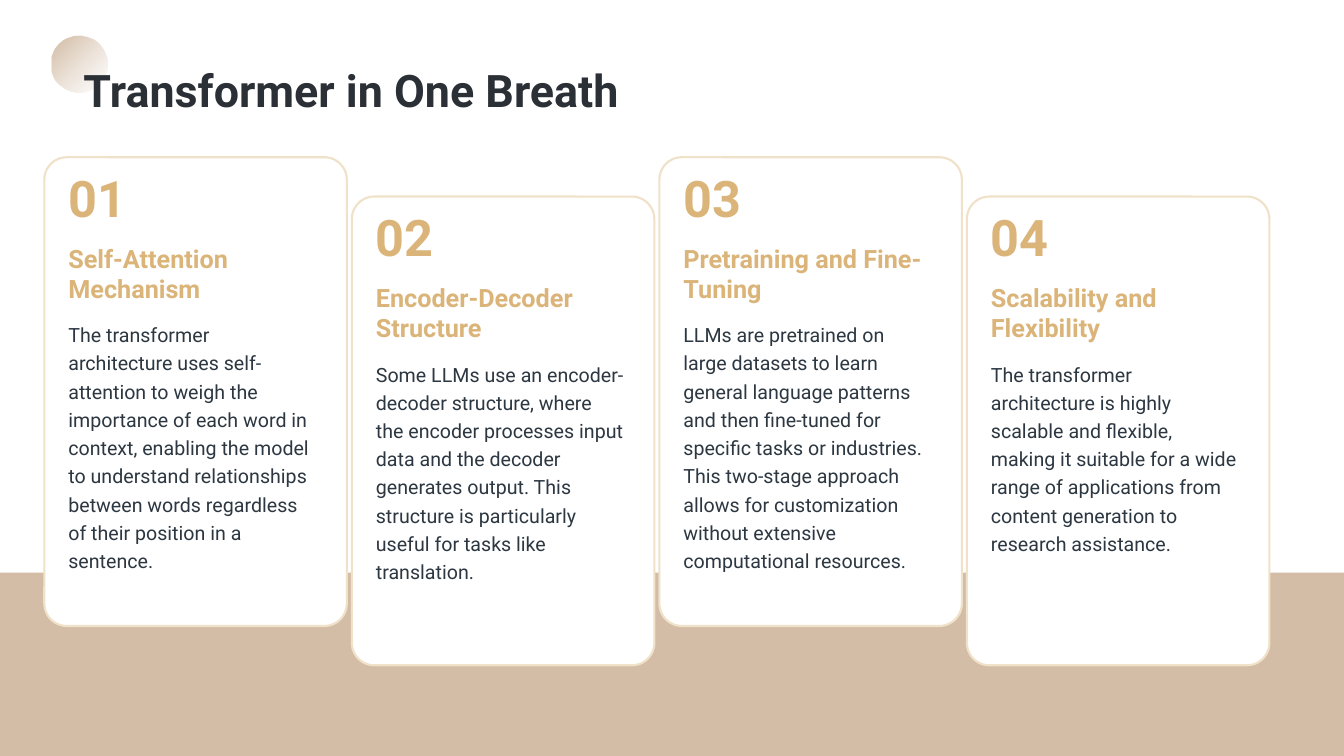
from lxml.etree import SubElement
from pptx import Presentation
from pptx.dml.color import RGBColor
from pptx.enum.shapes import MSO_SHAPE as Shape
from pptx.enum.text import MSO_AUTO_SIZE as AutoSize
from pptx.oxml.ns import qn
from pptx.util import Inches, Pt

COLORS = {
    "white": "FFFFFF",
    "sand": "D3BDA6",
    "brown": "B48E67",
    "cream": "F0E1C9",
    "gold": "DBB479",
    "title": "2B2F36",
    "body": "2C3741",
}

CARDS = [
    ("Self-Attention Mechanism",
     "The transformer architecture uses self-attention to weigh the importance of each word "
     "in context, enabling the model to understand relationships between words regardless of "
     "their position in a sentence."),
    ("Encoder-Decoder Structure",
     "Some LLMs use an encoder-decoder structure, where the encoder processes input data and "
     "the decoder generates output. This structure is particularly useful for tasks like "
     "translation."),
    ("Pretraining and Fine-Tuning",
     "LLMs are pretrained on large datasets to learn general language patterns and then "
     "fine-tuned for specific tasks or industries. This two-stage approach allows for "
     "customization without extensive computational resources."),
    ("Scalability and Flexibility",
     "The transformer architecture is highly scalable and flexible, making it suitable for a "
     "wide range of applications from content generation to research assistance."),
]


class SlideBuilder:
    font_name = "Roboto"

    def __init__(self, slide):
        self.slide = slide

    def color(self, name):
        return RGBColor.from_string(COLORS[name])

    def shape(self, kind, left, top, width, height, fill=None, line=None):
        shape = self.slide.shapes.add_shape(
            kind, Inches(left), Inches(top), Inches(width), Inches(height))
        shape.shadow.inherit = False
        if fill:
            shape.fill.solid()
            shape.fill.fore_color.rgb = self.color(fill)
        if line:
            shape.line.color.rgb = self.color(line)
            shape.line.width = Pt(1.5)
        else:
            shape.line.fill.background()
        return shape

    def fading_circle(self, left, top, size):
        circle = self.shape(Shape.OVAL, left, top, size, size)
        circle.rotation = 135
        transform = circle._element.spPr.find(qn("a:xfrm"))
        transform.set("flipH", "1")
        transform.set("flipV", "1")
        circle.fill.gradient()
        circle.fill.gradient_angle = 90
        fade = (("sand", 0), ("brown", 67))
        for stop, (name, opacity) in zip(circle.fill.gradient_stops, fade):
            stop.color.rgb = self.color(name)
        color_elements = circle._element.spPr.iter(qn("a:srgbClr"))
        for element, (name, opacity) in zip(color_elements, fade):
            SubElement(element, qn("a:alpha")).set("val", str(opacity * 1000))

    def text(self, text, left, top, width, height, size, color, bold=True, spacing=None):
        box = self.slide.shapes.add_textbox(
            Inches(left), Inches(top), Inches(width), Inches(height))
        frame = box.text_frame
        frame.word_wrap = True
        frame.auto_size = AutoSize.SHAPE_TO_FIT_TEXT
        paragraph = frame.paragraphs[0]
        if spacing:
            paragraph.line_spacing = spacing
        run = paragraph.add_run()
        run.text = text
        run.font.name = self.font_name
        run.font.size = Pt(size)
        run.font.bold = bold
        run.font.color.rgb = self.color(color)

    def card(self, left, top):
        card = self.shape(Shape.ROUNDED_RECTANGLE, left, top, 3, 4.65, "white", "cream")
        card.adjustments[0] = 0.074

    def card_text(self, number, heading, body, left, top):
        self.text(f"{number:02d}", left, top, 1.21, 0.6, 36, "gold")
        self.text(heading, left, top + 0.75, 2.66, 0.65, 18, "gold")
        self.text(body, left, top + 1.5, 2.66, 2.69, 14, "body", bold=False, spacing=1.2)


def main():
    presentation = Presentation()
    presentation.slide_width = Inches(13.33)
    presentation.slide_height = Inches(7.5)
    builder = SlideBuilder(presentation.slides.add_slide(presentation.slide_layouts[6]))

    builder.fading_circle(0.5, 0.35, 0.57)
    builder.shape(Shape.RECTANGLE, 0, 5.68, 13.33, 1.82, "sand")
    builder.text("Transformer in One Breath", 0.73, 0.57, 6.86, 0.55, 32, "title")

    corners = [(0.44 + 3.05 * index, 1.56 + 0.39 * (index % 2)) for index in range(len(CARDS))]
    for left, top in corners:
        builder.card(left, top)
    for number, ((left, top), (heading, body)) in enumerate(zip(corners, CARDS), 1):
        builder.card_text(number, heading, body, left + 0.14, top + 0.05)

    presentation.save("out.pptx")


if __name__ == "__main__":
    main()
